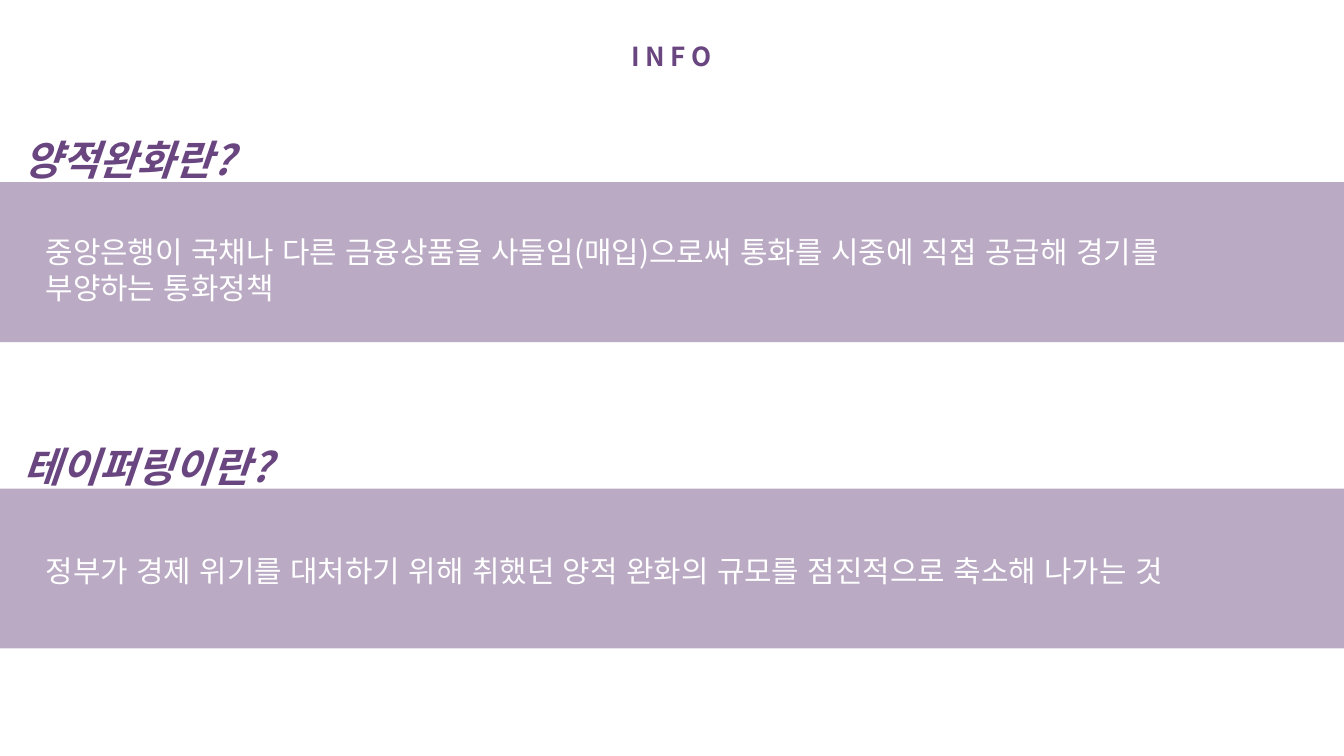
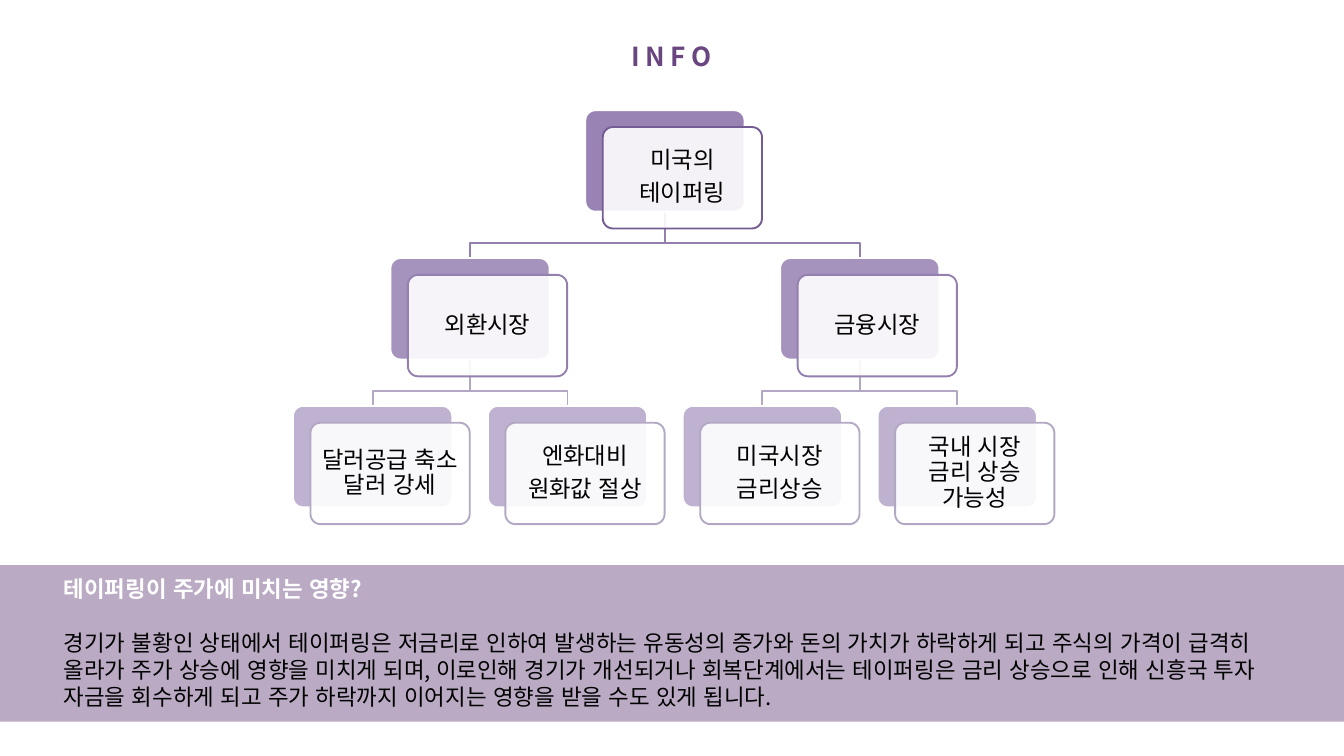
from pptx import Presentation
from pptx.dml.color import RGBColor
from pptx.enum.lang import MSO_LANGUAGE_ID
from pptx.enum.shapes import MSO_SHAPE
from pptx.enum.text import MSO_ANCHOR, MSO_AUTO_SIZE, PP_ALIGN
from pptx.oxml.ns import qn
from pptx.util import Inches, Pt
from lxml import etree

RECTANGLE = MSO_SHAPE.RECTANGLE
ROUNDED = MSO_SHAPE.ROUNDED_RECTANGLE
TOP, MIDDLE = MSO_ANCHOR.TOP, MSO_ANCHOR.MIDDLE
GROW = MSO_AUTO_SIZE.SHAPE_TO_FIT_TEXT
CENTER, LEFT = PP_ALIGN.CENTER, PP_ALIGN.LEFT
KOREAN = MSO_LANGUAGE_ID.KOREAN

PURPLE = RGBColor(0x69, 0x46, 0x80)
BAND = RGBColor(0x82, 0x65, 0x95)
CARD = RGBColor(0x80, 0x64, 0xA2)
WHITE = RGBColor(0xFF, 0xFF, 0xFF)
BLACK = RGBColor(0x00, 0x00, 0x00)
LEVEL_LINES = [RGBColor(0x74, 0x5B, 0x93), RGBColor(0x94, 0x80, 0xAE), RGBColor(0xB3, 0xA8, 0xC4)]
LEVEL_OPACITY = [80, 70, 50]
FONT = "Noto Sans CJK KR"
WIDTH, HEIGHT = 20, 11.25


def write(shape, lines, size, color, bold=False, italic=False, align=LEFT, spacing=1.0):
    frame = shape.text_frame
    frame.word_wrap = True
    frame.text = "\n".join(lines)
    for para in frame.paragraphs:
        para.alignment = align
        para.line_spacing = spacing
        for span in para.runs:
            font = span.font
            font.name, font.size = FONT, Pt(size)
            font.bold, font.italic = bold, italic
            font.color.rgb = color
            font.language_id = KOREAN
            etree.SubElement(span._r.get_or_add_rPr(), qn("a:ea"), typeface=FONT)


def add_block(slide, kind, left, top, width, height, color, opacity, line=None):
    block = slide.shapes.add_shape(kind, Inches(left), Inches(top), Inches(width), Inches(height))
    block.shadow.inherit = False
    block.fill.solid()
    block.fill.fore_color.rgb = color
    color_node = block._element.spPr.find(qn("a:solidFill"))[0]
    etree.SubElement(color_node, qn("a:alpha"), val=str(opacity * 1000))
    if line is None:
        block.line.fill.background()
    else:
        block.line.color.rgb = line
        block.line.width = Pt(2)
    return block


deck = Presentation()
deck.slide_width, deck.slide_height = Inches(WIDTH), Inches(HEIGHT)
title_only = deck.slide_layouts[5]

slides = []
for number in range(2):
    slide = deck.slides.add_slide(title_only)
    title = slide.shapes.title
    title.left, title.top = Inches(6.54), Inches(0.31)
    title.width, title.height = Inches(6.91), Inches(0.75)
    write(title, ["INFO"], 28, PURPLE, bold=True, align=CENTER, spacing=1.5)
    title.text_frame.vertical_anchor = TOP
    title.text_frame.auto_size = GROW
    title.text_frame.paragraphs[0].runs[0]._r.get_or_add_rPr().set("spc", "600")
    slides.append(slide)
terms_slide, effects_slide = slides

BAND_TOP, BAND_STEP, BAND_HEIGHT = 2.71, 4.56, 2.38
HEADING_HEIGHT = 1.12
terms = [
    ("양적완화란?", "중앙은행이 국채나 다른 금융상품을 사들임(매입)으로써 통화를 시중에 직접 공급해 경기를 부양하는 통화정책", 0.72, 1.18),
    ("테이퍼링이란?", "정부가 경제 위기를 대처하기 위해 취했던 양적 완화의 규모를 점진적으로 축소해 나가는 것", 0.91, 0.64),
]
for row, (term, meaning, offset, height) in enumerate(terms):
    top = BAND_TOP + row * BAND_STEP
    add_block(terms_slide, RECTANGLE, 0, top, WIDTH, BAND_HEIGHT, BAND, 55)
    heading = terms_slide.shapes.add_textbox(
        Inches(0.25), Inches(top - HEADING_HEIGHT), Inches(8.52), Inches(HEADING_HEIGHT))
    write(heading, [term], 44, PURPLE, bold=True, italic=True, spacing=1.5)
    body = terms_slide.shapes.add_textbox(
        Inches(0.58), Inches(top + offset), Inches(17.67), Inches(height))
    write(body, [meaning], 32, WHITE)
    for box in (heading, body):
        box.text_frame.auto_size = GROW

TREE_LEFT, TREE_TOP = 4.36, 1.64
COLUMN, ROW = 1.45, 2.2
CARD_WIDTH, CARD_HEIGHT = 2.37, 1.51
SHIFT_X, SHIFT_Y = 0.26, 0.25
BEND = 0.47
nodes = [
    (3, 0, ["미국의", "테이퍼링"]),
    (1, 1, ["외환시장"]),
    (5, 1, ["금융시장"]),
    (0, 2, ["달러공급 축소 달러 강세"]),
    (2, 2, ["엔화대비", "원화값 절상"]),
    (4, 2, ["미국시장", "금리상승"]),
    (6, 2, ["국내 시장 금리 상승 가능성"]),
]
links = [(3, 1, 1), (3, 5, 1), (1, 0, 2), (1, 2, 2), (5, 4, 2), (5, 6, 2)]

for parent, child, level in reversed(links):
    start_x, end_x = [TREE_LEFT + column * COLUMN + CARD_WIDTH / 2 for column in (parent, child)]
    end_y = TREE_TOP + level * ROW
    start_y = end_y - ROW + CARD_HEIGHT
    bend_y = start_y + BEND
    builder = effects_slide.shapes.build_freeform(Inches(start_x), Inches(start_y))
    corners = [(start_x, bend_y), (end_x, bend_y), (end_x, end_y)]
    builder.add_line_segments([(Inches(x), Inches(y)) for x, y in corners], close=False)
    branch = builder.convert_to_shape()
    branch.shadow.inherit = False
    branch.fill.background()
    branch.line.color.rgb = LEVEL_LINES[level]
    branch.line.width = Pt(2)

for column, level, lines in nodes:
    left, top = TREE_LEFT + column * COLUMN, TREE_TOP + level * ROW
    back = add_block(effects_slide, ROUNDED, left, top, CARD_WIDTH, CARD_HEIGHT,
                     CARD, LEVEL_OPACITY[level], WHITE)
    front = add_block(effects_slide, ROUNDED, left + SHIFT_X, top + SHIFT_Y, CARD_WIDTH, CARD_HEIGHT,
                      WHITE, 90, LEVEL_LINES[level])
    for card in (back, front):
        card.adjustments[0] = 0.1
    write(front, lines, 25, BLACK, align=CENTER, spacing=0.9)
    frame = front.text_frame
    frame.vertical_anchor = MIDDLE
    frame.margin_left = frame.margin_right = frame.margin_top = frame.margin_bottom = Inches(0.1)
    for para in frame.paragraphs:
        para.space_after = Pt(8.75)

add_block(effects_slide, RECTANGLE, 0, 8.41, WIDTH, 2.33, BAND, 55)
summary = effects_slide.shapes.add_textbox(Inches(0.85), Inches(8.51), Inches(18.33), Inches(2.53))
write(summary, [
    "테이퍼링이 주가에 미치는 영향?",
    "경기가 불황인 상태에서 테이퍼링은 저금리로 인하여 발생하는 유동성의 증가와 돈의 가치가 하락하게 되고 "
    "주식의 가격이 급격히 올라가 주가 상승에 영향을 미치게 되며, 이로인해 경기가 개선되거나 회복단계에서는 "
    "테이퍼링은 금리 상승으로 인해 신흥국 투자 자금을 회수하게 되고 주가 하락까지 이어지는 영향을 받을 수도 있게 됩니다.",
], 24, BLACK)
question, answer = summary.text_frame.paragraphs
question.runs[0].font.bold = True
question.runs[0].font.color.rgb = WHITE
answer.space_before = Pt(29)

deck.save("out.pptx")
